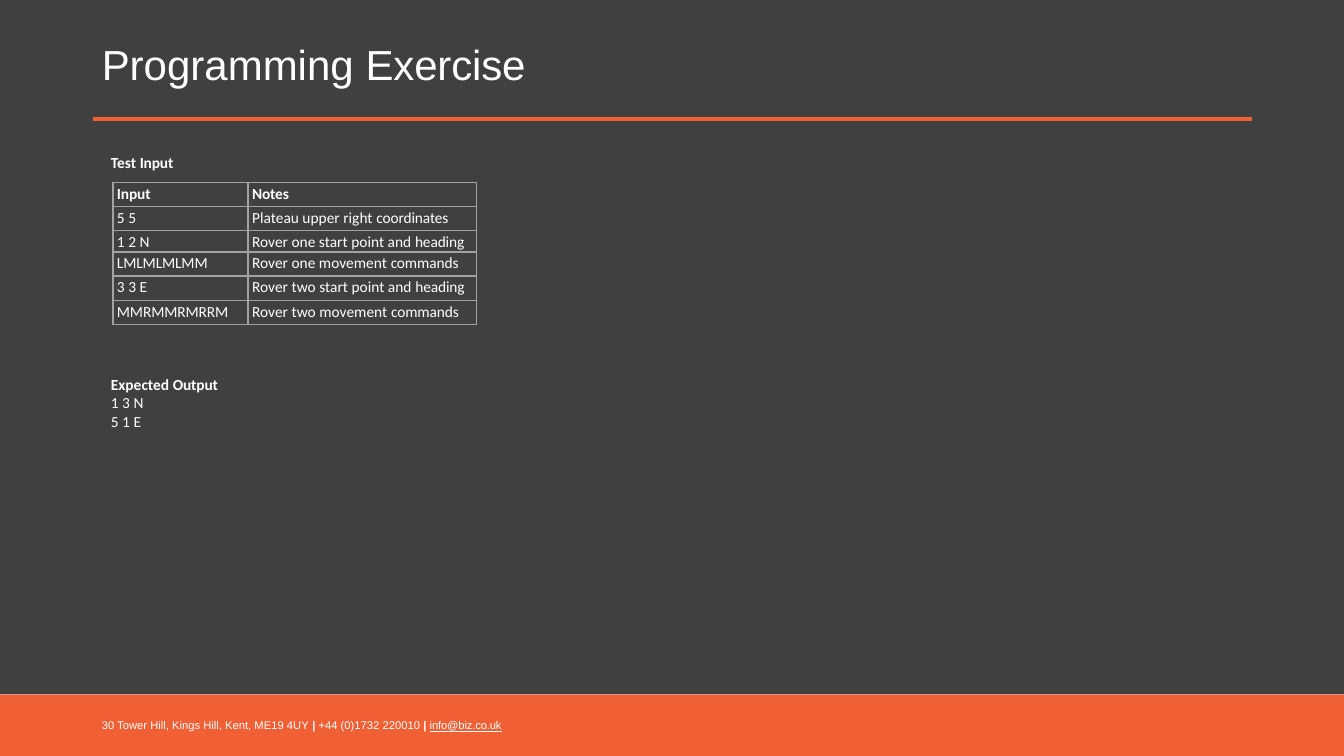
import dataclasses
import typing

import pptx
import pptx.dml.color
import pptx.enum.shapes
import pptx.enum.text
import pptx.oxml.ns
import pptx.util
from lxml import etree

Inches = pptx.util.Inches
Pt = pptx.util.Pt
RGB = pptx.dml.color.RGBColor
qn = pptx.oxml.ns.qn


@dataclasses.dataclass(frozen=True)
class Theme:
    panel: RGB = RGB(0x40, 0x40, 0x41)
    accent: RGB = RGB(0xF0, 0x60, 0x34)
    text: RGB = RGB(0xFF, 0xFF, 0xFF)
    grid: RGB = RGB(0xA2, 0xA2, 0xA2)
    heading_font: str = "Arial"
    body_font: str = "Calibri"
    title_size: float = 30
    body_size: float = 11
    footer_size: float = 8


THEME = Theme()


class Segment(typing.NamedTuple):
    text: str
    bold: bool = False
    underline: bool = False


@dataclasses.dataclass(frozen=True)
class Line:
    segments: tuple[Segment, ...]
    space_before: float = 0


@dataclasses.dataclass(frozen=True)
class TextBlock:
    left: float
    top: float
    width: float
    height: float
    lines: tuple[Line, ...]
    font: str
    size: float
    inset_top: float = 0.01


def plain(text: str, space_before: float = 0, bold: bool = False) -> Line:
    return Line((Segment(text, bold),), space_before)


SLIDE_WIDTH, SLIDE_HEIGHT = 13.33, 7.5
FOOTER_TOP = 6.89

TEXT_BLOCKS = (
    TextBlock(1.09, 1.51, 0.67, 0.21, (plain("Test Input", 1.1, True),),
              THEME.body_font, THEME.body_size),
    TextBlock(1, 7.13, 4.02, 0.15, (Line((
        Segment("30 Tower Hill, Kings Hill, Kent, ME19 4UY "),
        Segment("| ", bold=True),
        Segment("+44 (0)1732 220010 "),
        Segment("| ", bold=True),
        Segment("info@biz.co.uk", underline=True)), 0.2),),
        THEME.heading_font, THEME.footer_size, inset_top=0),
    TextBlock(1.09, 3.71, 1.1, 0.58,
              (plain("Expected Output", 1.1, True), plain("1 3 N"), plain("5 1 E")),
              THEME.body_font, THEME.body_size),
    TextBlock(1, 0.37, 4.24, 0.53, (plain("Programming Exercise", 1),),
              THEME.heading_font, THEME.title_size),
)

TEST_INPUT = (
    ("Input", "Notes"),
    ("5 5", "Plateau upper right coordinates"),
    ("1 2 N", "Rover one start point and heading"),
    ("LMLMLMLMM", "Rover one movement commands"),
    ("3 3 E", "Rover two start point and heading"),
    ("MMRMMRMRRM", "Rover two movement commands"),
)
COLUMN_WIDTHS = (1.34, 2.27)
ROW_HEIGHTS = (0.24, 0.24, 0.21, 0.24, 0.24, 0.24)


def write_line(paragraph, line: Line, font: str, size: float, indent: float) -> None:
    """Write the segments, drawing the last word of the line slightly tighter."""
    paragraph.space_before = Pt(line.space_before)
    paragraph._p.get_or_add_pPr().set("marL", str(Inches(indent)))
    for segment in line.segments:
        pieces = [(segment.text, 0)]
        if segment is line.segments[-1]:
            head, gap, last_word = segment.text.rpartition(" ")
            pieces = [(head + gap, 0), (last_word, -50 if len(last_word) == 1 else -10)]
        for text, spacing in pieces:
            if not text:
                continue
            run = paragraph.add_run()
            run.text = text
            run.font.name = font
            run.font.size = Pt(size)
            run.font.bold = segment.bold
            run.font.underline = segment.underline
            run.font.color.rgb = THEME.text
            run._r.get_or_add_rPr().set("spc", str(spacing))


def add_text(slide, block: TextBlock) -> None:
    box = slide.shapes.add_textbox(Inches(block.left), Inches(block.top),
                                   Inches(block.width), Inches(block.height))
    frame = box.text_frame
    frame.word_wrap = True
    frame.auto_size = pptx.enum.text.MSO_AUTO_SIZE.SHAPE_TO_FIT_TEXT
    frame.margin_left = frame.margin_right = frame.margin_bottom = 0
    frame.margin_top = Inches(block.inset_top)
    for index, line in enumerate(block.lines):
        paragraph = frame.add_paragraph() if index else frame.paragraphs[0]
        write_line(paragraph, line, block.font, block.size, 0.01)


def add_band(slide, top: float, height: float, color: RGB) -> None:
    """Add a filled rectangle across the full slide width."""
    band = slide.shapes.add_shape(pptx.enum.shapes.MSO_SHAPE.RECTANGLE, 0, Inches(top),
                                  Inches(SLIDE_WIDTH), Inches(height))
    band.shadow.inherit = False
    band.fill.solid()
    band.fill.fore_color.rgb = color
    band.line.fill.background()


def add_title_rule(slide) -> None:
    rule = slide.shapes.add_connector(pptx.enum.shapes.MSO_CONNECTOR.STRAIGHT,
                                      Inches(0.92), Inches(1.18), Inches(12.42), Inches(1.18))
    rule.line.color.rgb = THEME.accent
    rule.line.width = Pt(3)
    etree.SubElement(rule._element.spPr, qn("a:effectLst"))


def add_borders(cell) -> None:
    properties = cell._tc.get_or_add_tcPr()
    for side in ("lnL", "lnR", "lnT", "lnB"):
        border = etree.SubElement(properties, qn(f"a:{side}"), w=str(Pt(1)))
        fill = etree.SubElement(border, qn("a:solidFill"))
        etree.SubElement(fill, qn("a:srgbClr"), val=str(THEME.grid))


def add_test_input_table(slide) -> None:
    table = slide.shapes.add_table(len(ROW_HEIGHTS), len(COLUMN_WIDTHS), Inches(1.12), Inches(1.81),
                                   Inches(sum(COLUMN_WIDTHS)), Inches(sum(ROW_HEIGHTS))).table
    table.horz_banding = False
    for column, width in zip(table.columns, COLUMN_WIDTHS):
        column.width = Inches(width)
    for row_index, (row, height) in enumerate(zip(table.rows, ROW_HEIGHTS)):
        row.height = Inches(height)
        for cell, text in zip(row.cells, TEST_INPUT[row_index]):
            cell.margin_left = cell.margin_right = cell.margin_bottom = 0
            cell.margin_top = Inches(0.02)
            add_borders(cell)
            cell.fill.solid()
            cell.fill.fore_color.rgb = THEME.panel
            write_line(cell.text_frame.paragraphs[0], plain(text, 1.6, row_index == 0),
                       THEME.body_font, THEME.body_size, 0.04)


def main() -> None:
    presentation = pptx.Presentation()
    presentation.slide_width = Inches(SLIDE_WIDTH)
    presentation.slide_height = Inches(SLIDE_HEIGHT)
    slide = presentation.slides.add_slide(presentation.slide_layouts[6])
    add_band(slide, 0, FOOTER_TOP, THEME.panel)
    add_title_rule(slide)
    add_band(slide, FOOTER_TOP, SLIDE_HEIGHT - FOOTER_TOP, THEME.accent)
    for block in TEXT_BLOCKS:
        add_text(slide, block)
    add_test_input_table(slide)
    presentation.save("out.pptx")


if __name__ == "__main__":
    main()
